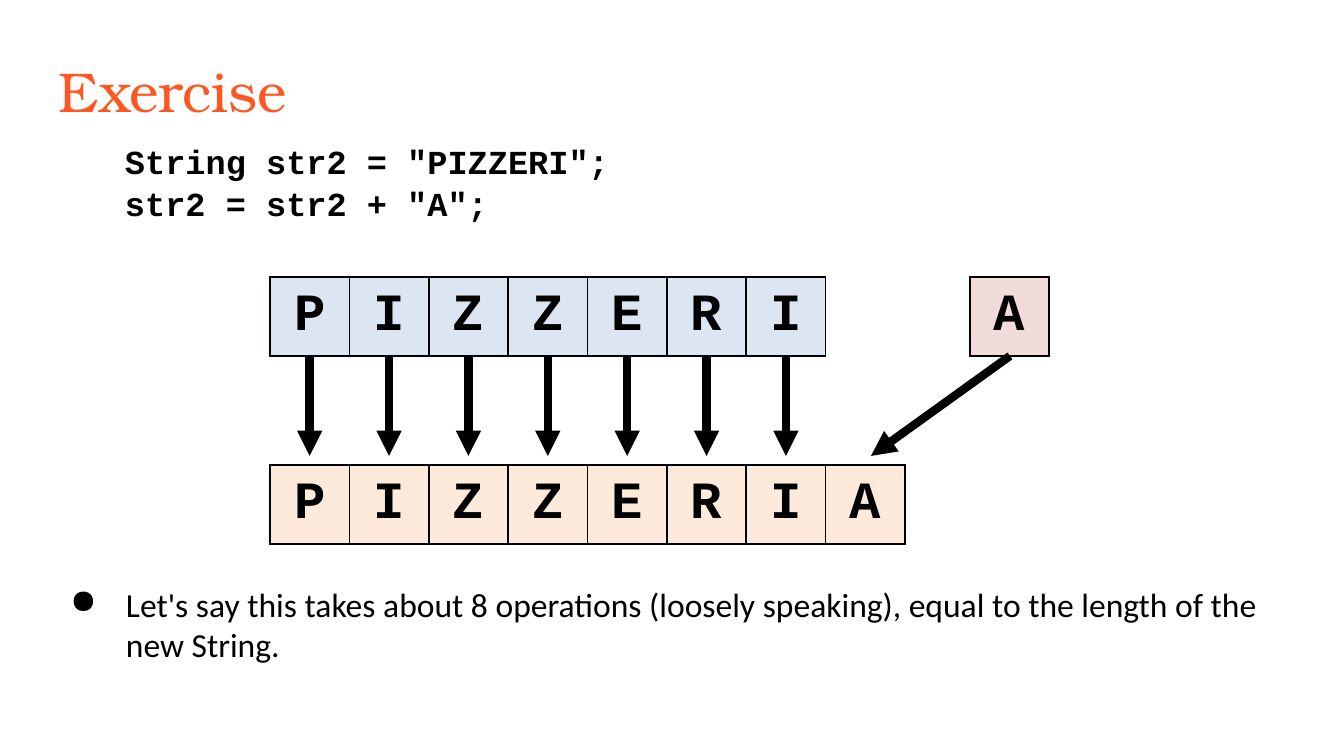
from lxml.etree import SubElement
from pptx import Presentation
from pptx.dml.color import RGBColor
from pptx.enum.shapes import MSO_CONNECTOR as Connector
from pptx.enum.text import MSO_ANCHOR as Anchor, MSO_AUTO_SIZE as AutoSize, PP_ALIGN as Align
from pptx.oxml.ns import qn
from pptx.util import Emu, Pt

SCALE = 914400 / 134.4
CODE_FONT = "Courier New"
BLACK = "000000"
CELL = 79


def px(length):
    """Turn pixels into EMU."""
    return Emu(round(length * SCALE))


def color(value):
    """Turn a hex string into a colour."""
    return RGBColor.from_string(value)


def write(paragraph, text, font, size, fill=BLACK, bold=False, align=Align.LEFT, before=0):
    """Put one formatted run in a paragraph."""
    paragraph.alignment = align
    paragraph.space_before = Pt(before)
    run = paragraph.add_run()
    run.text = text
    run.font.name = font
    run.font.size = Pt(size)
    run.font.bold = bold
    run.font.color.rgb = color(fill)


def indent(paragraph, margin, first=0, bullet=None):
    """Set the indents of a paragraph and its bullet."""
    properties = paragraph._p.get_or_add_pPr()
    properties.set("marL", str(px(margin)))
    properties.set("indent", str(px(first)))
    if bullet:
        SubElement(properties, qn("a:buChar"), char=bullet)


def prepare(shape):
    """Give a text shape its insets, wrapping and top anchor."""
    frame = shape.text_frame
    frame.word_wrap = True
    frame.auto_size = AutoSize.NONE
    frame.vertical_anchor = Anchor.TOP
    frame.margin_left = frame.margin_right = frame.margin_top = frame.margin_bottom = px(13)
    return frame


def add_title(slide, left, top, width, height):
    """Place and format the slide title."""
    title = slide.shapes.title
    title.left, title.top, title.width, title.height = map(px, (left, top, width, height))
    write(prepare(title).paragraphs[0], "Exercise", "TeX Gyre Bonum", 30, fill="FF5722")


def add_body(slide, left, top, width, height):
    """Place the code lines and the remark below the diagram."""
    frame = prepare(slide.shapes.add_textbox(*map(px, (left, top, width, height))))
    first = frame.paragraphs[0]
    second, remark = frame.add_paragraph(), frame.add_paragraph()
    write(first, 'String str2 = "PIZZERI";', CODE_FONT, 18, bold=True, before=3)
    write(second, 'str2 = str2 + "A";', CODE_FONT, 18, bold=True, before=1)
    for line in (first, second):
        indent(line, 66)
    write(remark, "Let's say this takes about 8 operations (loosely speaking), "
          "equal to the length of the new String.", "Calibri", 18, before=193)
    indent(remark, 67, -56, "●")


def add_borders(cell):
    """Draw thin black lines on all sides of a cell."""
    properties = cell._tc.get_or_add_tcPr()
    for index, side in enumerate(("lnL", "lnR", "lnT", "lnB")):
        line = properties.makeelement(qn(f"a:{side}"), {"w": str(Pt(1))})
        fill = SubElement(line, qn("a:solidFill"))
        SubElement(fill, qn("a:srgbClr"), val=BLACK)
        properties.insert(index, line)


def add_letters(slide, letters, left, top, width, fill):
    """Place a one-row table with a letter in each cell."""
    table = slide.shapes.add_table(1, len(letters), *map(px, (left, top, width, CELL))).table
    table.first_row = table.horz_banding = False
    for column, cell, letter in zip(table.columns, table.iter_cells(), letters):
        column.width = px(width / len(letters))
        cell.fill.solid()
        cell.fill.fore_color.rgb = color(fill)
        cell.vertical_anchor = Anchor.MIDDLE
        write(cell.text_frame.paragraphs[0], letter, CODE_FONT, 28, bold=True, align=Align.CENTER)
        add_borders(cell)


def add_arrow(slide, *ends):
    """Draw a thick black arrow between two points."""
    arrow = slide.shapes.add_connector(Connector.STRAIGHT, *map(px, ends))
    arrow.line.color.rgb = color(BLACK)
    arrow.line.width = Pt(4.5)
    SubElement(arrow.line._get_or_add_ln(), qn("a:tailEnd"), type="triangle")
    SubElement(arrow._element.spPr, qn("a:effectLst"))


def add_diagram(slide, left, top, width, height):
    """Show the letters being copied from the old string to the new one."""
    old, new = "PIZZERI", "PIZZERIA"
    step = width / len(new)
    suffix_left = left + 700
    new_top = top + height - CELL
    add_letters(slide, old, left, top, step * len(old), "DCE6F2")
    add_letters(slide, new, left, new_top, width, "FDEADA")
    add_letters(slide, "A", suffix_left, top, CELL, "F2DCDB")
    start, end = top + CELL, new_top - 9
    for index in range(len(old)):
        center = left + step * (index + 0.5)
        add_arrow(slide, center, start, center, end)
    add_arrow(slide, suffix_left + 40, start, left + 601, end)


def main():
    """Build and save the presentation."""
    presentation = Presentation()
    presentation.slide_width, presentation.slide_height = px(1344), px(756)
    slide = presentation.slides.add_slide(presentation.slide_layouts[5])
    add_title(slide, 46, 43, 1252, 85)
    add_body(slide, 46, 128, 1252, 570)
    add_diagram(slide, 270, 277, 635, 267)
    presentation.save("out.pptx")


main()
